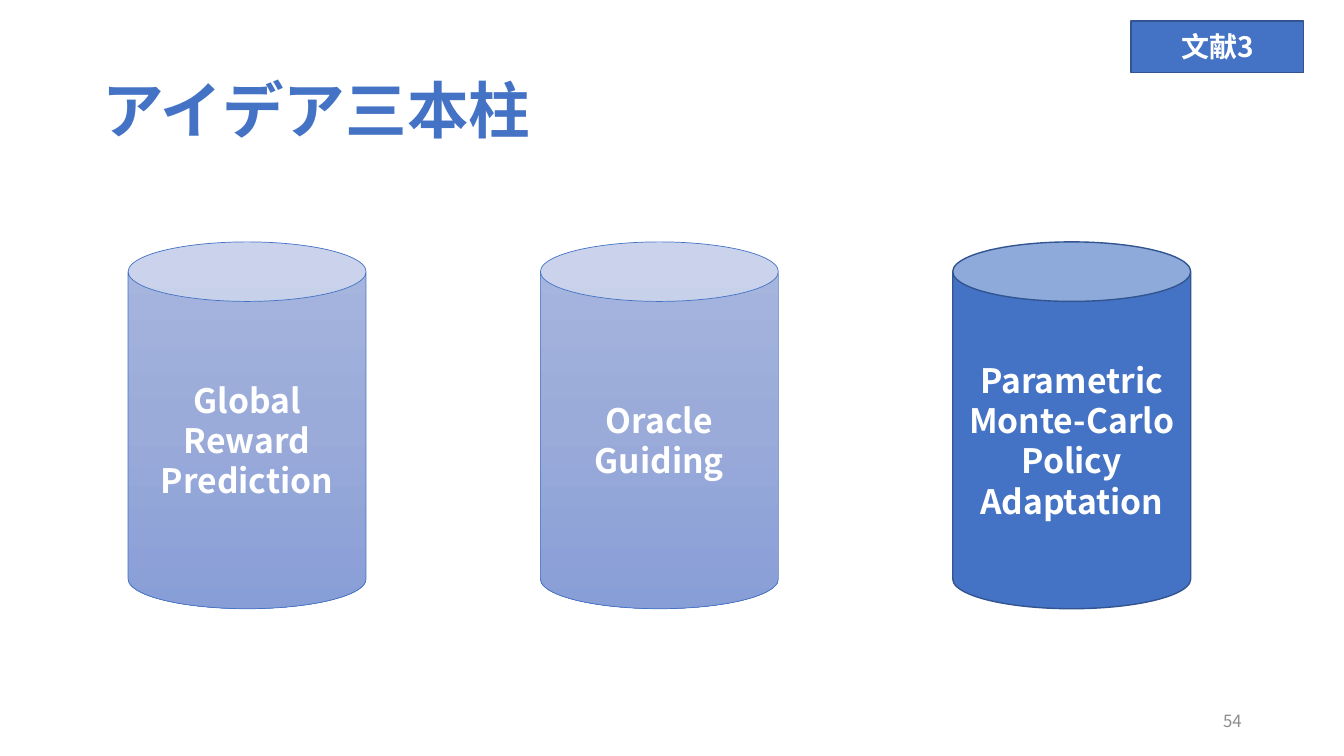
"""Build the slide on the three pillars of the idea."""
from copy import deepcopy

from lxml import etree
from pptx import Presentation
from pptx.dml.color import RGBColor
from pptx.enum import shapes, text
from pptx.oxml.ns import qn
from pptx.util import Pt

FONT = "Noto Sans CJK JP"
BLUE, NAVY, WHITE, GREY = "4472C4", "325491", "FFFFFF", "8C8C8C"
FADED = ("A8B7DF", "9AABD9", "889ED7")
TITLE = "アイデア三本柱"
SOURCE_TAG = "文献3"
PAGE = "54"
PILLARS = [
    (["Global Reward", "Prediction"], False),
    (["Oracle", "Guiding"], False),
    (["Parametric", "Monte-Carlo", "Policy", "Adaptation"], True),
]
PILLAR_LEFT, PILLAR_TOP, PILLAR_PITCH = 91.5, 172.8, 294.5
PILLAR_WIDTH, PILLAR_HEIGHT = 170, 262


def rgb(color):
    return RGBColor.from_string(color)


def write(holder, lines, size, color, align, bold=True, spacing=None):
    frame = holder.text_frame
    frame.word_wrap = True
    frame.vertical_anchor = text.MSO_ANCHOR.MIDDLE
    for index, line in enumerate(lines):
        paragraph = frame.add_paragraph() if index else frame.paragraphs[0]
        paragraph.alignment = align
        if spacing:
            paragraph.line_spacing = spacing
        run = paragraph.add_run()
        run.text = line
        run.font.size, run.font.bold, run.font.name = Pt(size), bold, FONT
        run.font.color.rgb = rgb(color)
        east_asian = etree.SubElement(run.font._element, qn("a:ea"))
        east_asian.set("typeface", FONT)


def add_block(kind, box, lines, size, active=True):
    block = slide.shapes.add_shape(kind, *map(Pt, box))
    block.shadow.inherit = False
    if active:
        block.fill.solid()
        block.fill.fore_color.rgb = rgb(BLUE)
    else:
        fade(block)
    block.line.color.rgb = rgb(NAVY if active else BLUE)
    block.line.width = Pt(1 if active else 0.5)
    write(block, lines, size, WHITE, text.PP_ALIGN.CENTER)


def fade(block):
    block.fill.gradient()
    block.fill.gradient_angle = 270
    stops = block._element.spPr.find(".//" + qn("a:gsLst"))
    stops.insert(1, deepcopy(stops[0]))
    for index, (stop, color) in enumerate(zip(block.fill.gradient_stops, FADED)):
        stop.position = index / 2
        stop.color.rgb = rgb(color)


def add_label(box, label, size, color, align, **style):
    holder = slide.shapes.add_textbox(*map(Pt, box))
    write(holder, [label], size, color, align, **style)


deck = Presentation()
deck.slide_width, deck.slide_height = Pt(960), Pt(540)
slide = deck.slides.add_slide(deck.slide_layouts[6])

add_label((678, 500.5, 216, 28.8), PAGE, 12, GREY, text.PP_ALIGN.RIGHT, bold=False)
for position, (lines, active) in enumerate(PILLARS):
    left = PILLAR_LEFT + position * PILLAR_PITCH
    add_block(shapes.MSO_SHAPE.CAN, (left, PILLAR_TOP, PILLAR_WIDTH, PILLAR_HEIGHT),
              lines, 24, active)
add_block(shapes.MSO_SHAPE.RECTANGLE, (807.8, 15, 123.5, 36.8), [SOURCE_TAG], 20)
add_label((66, 28.8, 828, 104.4), TITLE, 44, BLUE, text.PP_ALIGN.LEFT, spacing=0.9)

deck.save("out.pptx")
